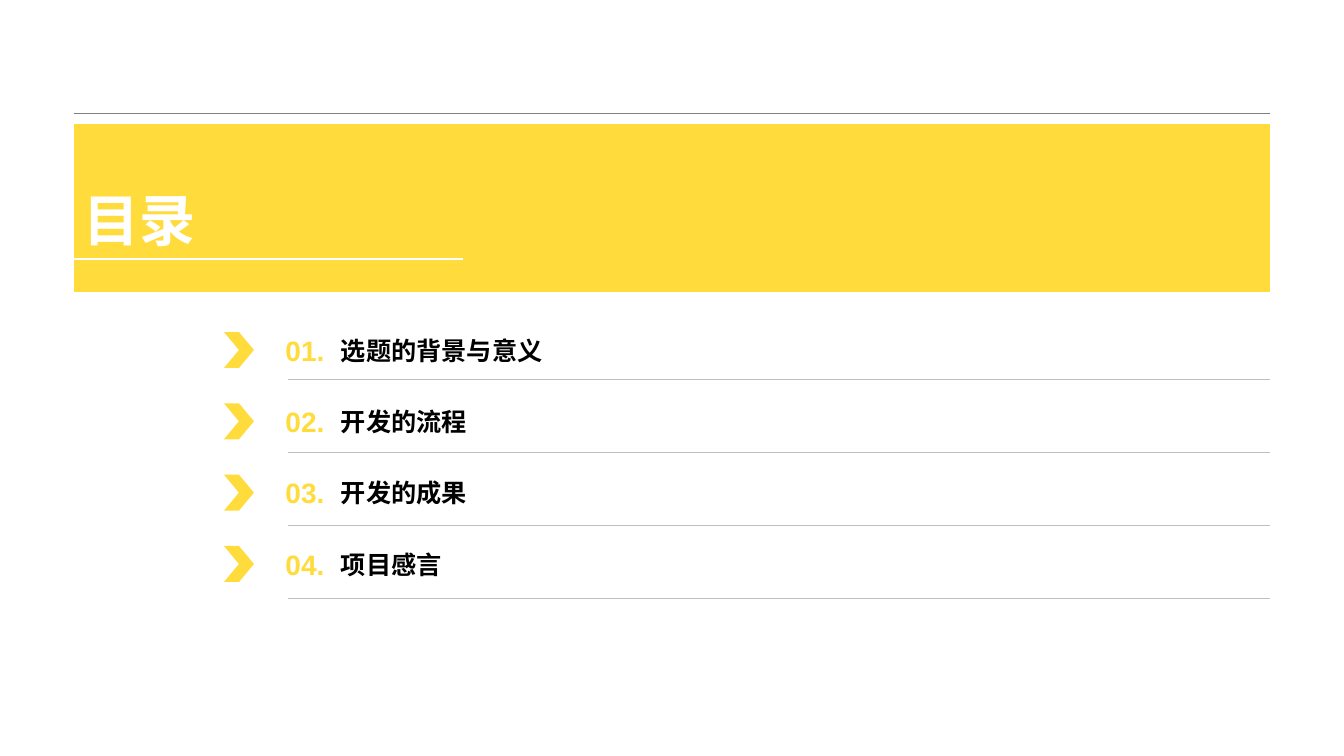
from lxml.etree import SubElement
from pptx import Presentation
from pptx.dml.color import RGBColor
from pptx.enum.lang import MSO_LANGUAGE_ID
from pptx.enum.shapes import MSO_CONNECTOR, MSO_SHAPE
from pptx.enum.text import MSO_ANCHOR, PP_ALIGN
from pptx.oxml.ns import qn
from pptx.util import Emu, Pt

TITLE = "目录"
CHAPTERS = ["选题的背景与意义", "开发的流程", "开发的成果", "项目感言"]

COLORS = {
    "yellow": "FFDC3C",
    "white": "FFFFFF",
    "black": "000000",
    "gray": "808080",
    "light_gray": "BFBFBF",
}

LEFT, RIGHT = 74, 1270
ROW_CENTER, ROW_SPAN = 350, 214
RULE_TOP, RULE_STEP = 379, 73


def px(value):
    return Emu(round(value * 914400 / 100.8))


def rgb(name):
    return RGBColor.from_string(COLORS[name])


def add_block(slide, kind, left, top, width, height):
    shape = slide.shapes.add_shape(kind, px(left), px(top), px(width), px(height))
    shape.shadow.inherit = False
    shape.fill.solid()
    shape.fill.fore_color.rgb = rgb("yellow")
    shape.line.fill.background()


def add_rule(slide, left, right, y, color, weight):
    rule = slide.shapes.add_connector(
        MSO_CONNECTOR.STRAIGHT, px(left), px(y), px(right), px(y))
    rule.line.color.rgb = rgb(color)
    rule.line.width = Pt(weight)
    SubElement(rule._element.spPr, qn("a:effectLst"))


def add_text(slide, text, box, size, color, anchor=MSO_ANCHOR.MIDDLE,
             align=PP_ALIGN.LEFT, wrap=True):
    frame = slide.shapes.add_textbox(*map(px, box)).text_frame
    frame.word_wrap = wrap
    frame.vertical_anchor = anchor
    paragraph = frame.paragraphs[0]
    paragraph.alignment = align
    run = paragraph.add_run()
    run.text = text
    run.font.color.rgb = rgb(color)
    formats = {"name": "Arial", "size": Pt(size), "bold": True,
               "language_id": MSO_LANGUAGE_ID.SIMPLIFIED_CHINESE}
    for attribute, value in formats.items():
        setattr(run.font, attribute, value)


def main():
    presentation = Presentation()
    presentation.slide_width, presentation.slide_height = px(1344), px(756)
    slide = presentation.slides.add_slide(presentation.slide_layouts[6])

    add_rule(slide, LEFT, RIGHT, 113, "gray", 0.25)
    add_block(slide, MSO_SHAPE.RECTANGLE, LEFT, 124, RIGHT - LEFT, 168)
    add_text(slide, TITLE, (LEFT, 181, 331, 78), 40, "white", MSO_ANCHOR.TOP)
    add_rule(slide, LEFT, 463, 259, "white", 1.5)

    for index, chapter in enumerate(CHAPTERS):
        center = ROW_CENTER + ROW_SPAN * index / (len(CHAPTERS) - 1)
        add_block(slide, MSO_SHAPE.CHEVRON, 224, center - 18, 30, 36)
        add_text(slide, f"{index + 1:02d}.", (275, center - 22, 60, 44), 20,
                 "yellow", align=PP_ALIGN.CENTER, wrap=False)
        add_text(slide, chapter, (331, center - 20, RIGHT - 331, 40), 18, "black")
        add_rule(slide, 288, RIGHT, RULE_TOP + RULE_STEP * index,
                 "light_gray", 0.25)

    presentation.save("out.pptx")


if __name__ == "__main__":
    main()
